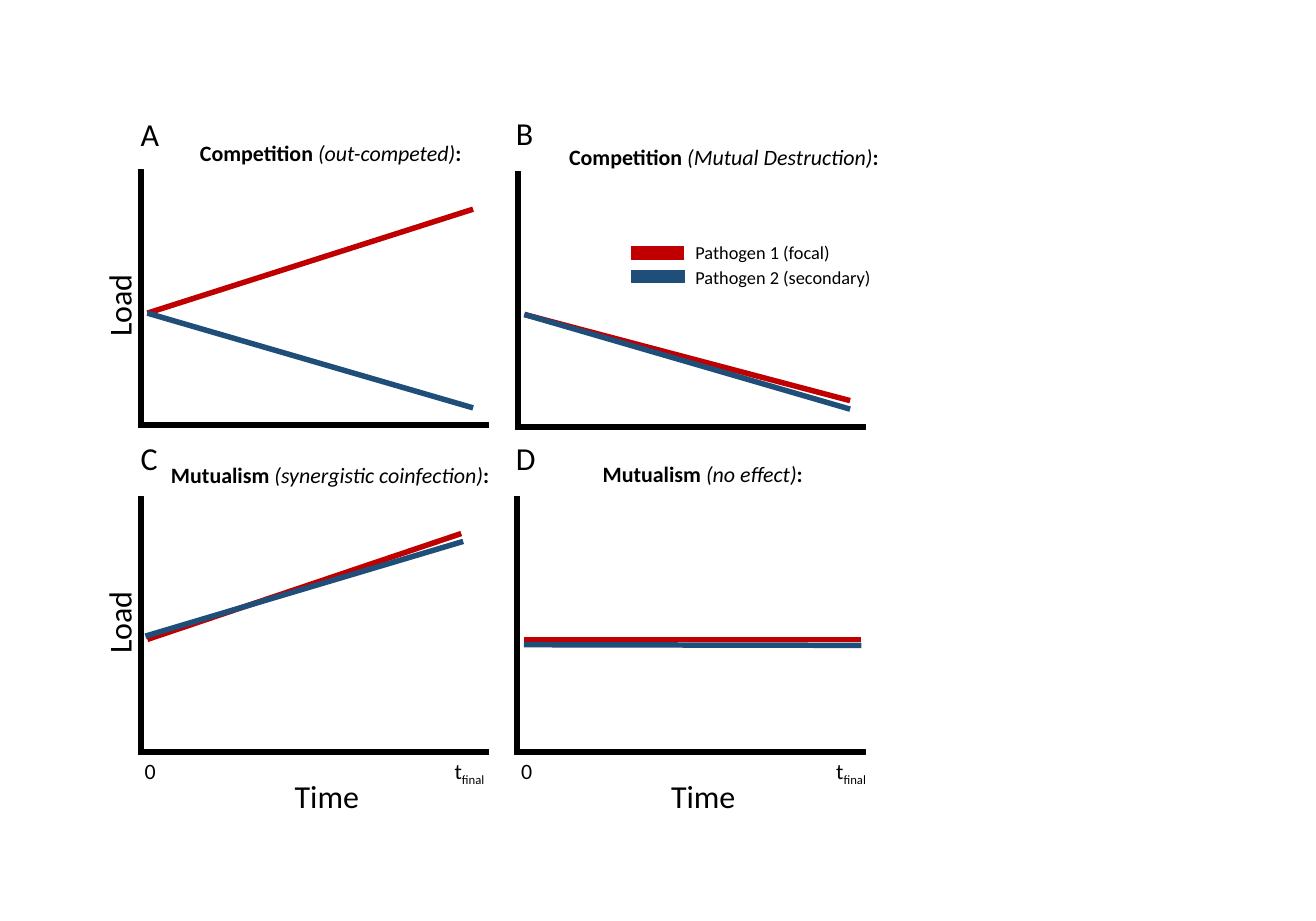
import pptx
import pptx.dml.color
import pptx.enum.shapes
import pptx.enum.text
import pptx.oxml.ns
import pptx.util
import lxml.etree

PX = 9144  # 100 px to the inch
COLOURS = {"black": "000000", "focal": "C00000", "secondary": "1F4E79"}
SHAPES = pptx.enum.shapes.MSO_SHAPE

deck = pptx.Presentation()
deck.slide_width = 2000 * PX
deck.slide_height = 1400 * PX
slide = deck.slides.add_slide(deck.slide_layouts[6])


def add_text(left, top, width, height, size, *parts):
    """Add a one-paragraph box; each part is (text, bold, italic)."""
    box = slide.shapes.add_textbox(left * PX, top * PX, width * PX, height * PX)
    box.text_frame.word_wrap = True
    para = box.text_frame.paragraphs[0]
    for text, bold, italic in parts:
        span = para.add_run()
        span.text = text
        span.font.name = "Calibri"
        span.font.size = pptx.util.Pt(size)
        span.font.bold = bold
        span.font.italic = italic
        span.font.color.rgb = pptx.dml.color.RGBColor.from_string(COLOURS["black"])
    return box


def add_solid(kind, left, top, width, height, colour):
    """Add a shape whose fill and thin outline share one colour."""
    shape = slide.shapes.add_shape(kind, left * PX, top * PX, width * PX, height * PX)
    rgb = pptx.dml.color.RGBColor.from_string(COLOURS[colour])
    shape.fill.solid()
    shape.fill.fore_color.rgb = rgb
    shape.line.color.rgb = rgb
    shape.line.width = pptx.util.Pt(1)
    shape.shadow.inherit = False
    return shape


# Panels: letter and its place, axes corner, title and its place, two load lines
panels = [
    ("A", 204, 169, 210, 257, "Competition ", "(out-competed)", 294, 208,
     (224, 476, 719, 318), (224, 476, 719, 620)),
    ("B", 774, 168, 783, 260, "Competition ", "(Mutual Destruction)", 855, 213,
     (797, 478, 1292, 609), (797, 478, 1292, 622)),
    ("C", 204, 662, 210, 754, "Mutualism ", "(synergistic coinfection)", 250, 696,
     (224, 972, 701, 811), (221, 967, 704, 823)),
    ("D", 774, 662, 782, 754, "Mutualism ", "(no effect)", 906, 695,
     (796, 972, 1309, 972), (796, 980, 1309, 981)),
]
for (letter, letter_x, letter_y, axes_x, axes_y, kind, detail, title_x, title_y,
     focal, secondary) in panels:
    axes = add_solid(SHAPES.CORNER, axes_x, axes_y, 533, 393, "black")
    axes.adjustments[0] = axes.adjustments[1] = 0.019
    for colour, ends in (("focal", focal), ("secondary", secondary)):
        line = slide.shapes.add_connector(
            pptx.enum.shapes.MSO_CONNECTOR.STRAIGHT, *[end * PX for end in ends])
        line.line.color.rgb = pptx.dml.color.RGBColor.from_string(COLOURS[colour])
        line.line.width = pptx.util.Pt(6)
        lxml.etree.SubElement(line._element.spPr, pptx.oxml.ns.qn("a:effectLst"))
    add_text(letter_x, letter_y, 84, 69, 35, (letter, False, False))
    add_text(title_x, title_y, 525, 50, 24,
             (kind, True, False), (detail, False, True), (":", True, False))

# Vertical axis labels
for top in (430, 912):
    label = add_text(79, top, 204, 69, 35, ("Load", False, False))
    label.rotation = 270
    label.text_frame.paragraphs[0].alignment = pptx.enum.text.PP_ALIGN.CENTER

# Horizontal axis labels, with the final time set at a tab stop
for time_x, ticks_x, tab in ((438, 210, 471), (1010, 782, 479)):
    add_text(time_x, 1176, 263, 69, 35, ("Time", False, False))
    ticks = add_text(ticks_x, 1146, 580, 50, 24,
                     ("0\tt", False, False), ("final", False, False))
    para = ticks.text_frame.paragraphs[0]
    para.runs[1].font._element.set("baseline", "-25000")
    stops = lxml.etree.SubElement(para._p.get_or_add_pPr(), pptx.oxml.ns.qn("a:tabLst"))
    lxml.etree.SubElement(stops, pptx.oxml.ns.qn("a:tab"), pos=str(tab * PX), algn="l")

# Legend
for name, colour, key_x, key_y, text_y in (
        ("Pathogen 1 (focal)", "focal", 959, 375, 362),
        ("Pathogen 2 (secondary)", "secondary", 960, 411, 400)):
    add_solid(SHAPES.RECTANGLE, key_x, key_y, 80, 19, colour)
    add_text(1047, text_y, 293, 44, 20, (name, False, False))

deck.save("out.pptx")
